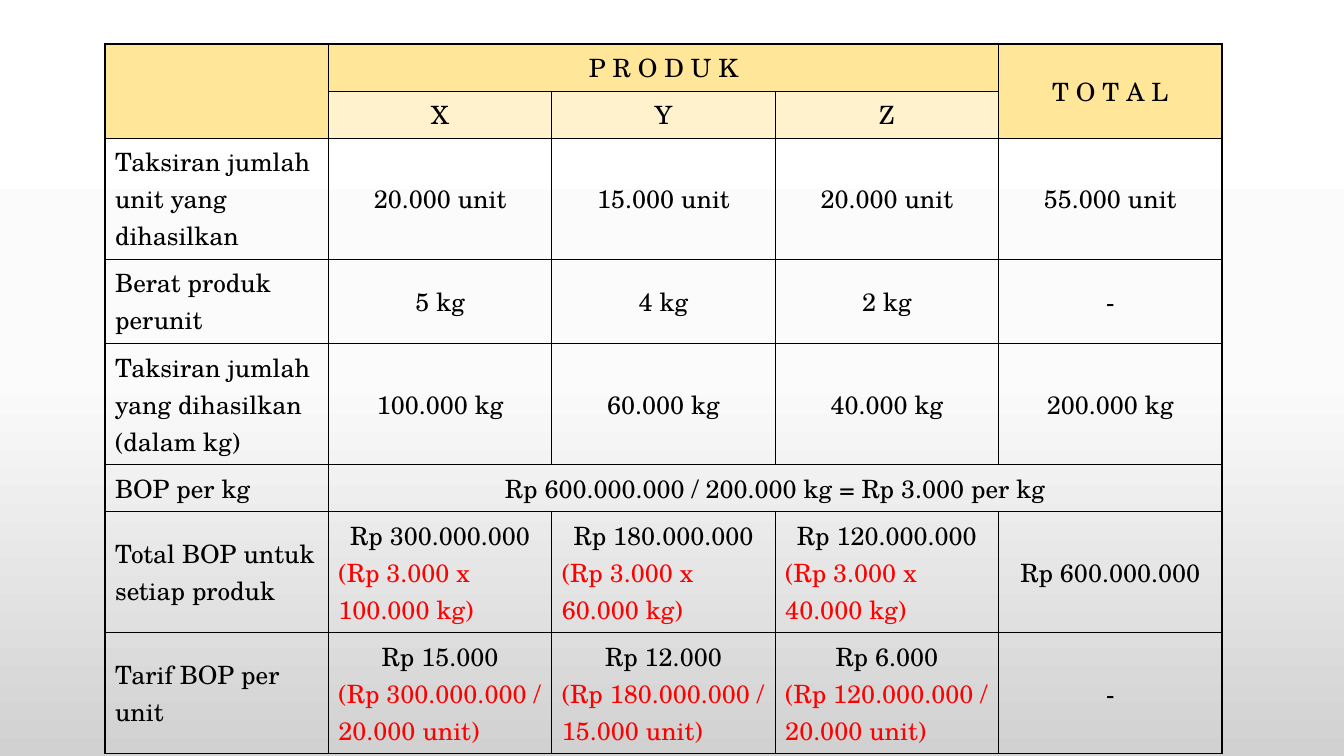
from dataclasses import dataclass

from lxml import etree
from pptx import Presentation
from pptx import util as u
from pptx.dml.color import RGBColor
from pptx.enum import text
from pptx.oxml.ns import qn


@dataclass(frozen=True)
class Theme:
    font: str = "TeX Gyre Schola"
    size: int = 18
    ink: str = "000000"
    note: str = "FF0000"
    header: str = "FFE699"
    subheader: str = "FFF2CC"
    border: str = "000000"
    border_width: int = 1
    backdrop: tuple = ((0, "FFFFFF"), (50, "FBFBFB"), (100, "D1D1D1"))


@dataclass(frozen=True)
class Entry:
    row: int
    column: int
    label: str = ""
    note: str = ""
    fill: str = ""
    rows: int = 1
    columns: int = 1


THEME = Theme()
SLIDE_WIDTH, SLIDE_HEIGHT = 1344, 756
TABLE_LEFT, TABLE_TOP, TABLE_WIDTH = 105, 44, 1117
ROW_HEIGHTS = (47, 47, 121, 84, 121, 47, 121, 121)
COLUMN_COUNT = 5

HEADERS = [
    Entry(0, 0, fill=THEME.header, rows=2),
    Entry(0, 1, "P R O D U K", fill=THEME.header, columns=3),
    Entry(0, 4, "T O T A L", fill=THEME.header, rows=2),
    *(Entry(1, column, product, fill=THEME.subheader)
      for column, product in enumerate("XYZ", start=1)),
]
BOP_PER_KG = [
    Entry(5, 0, "BOP per kg"),
    Entry(5, 1, "Rp 600.000.000 / 200.000 kg = Rp 3.000 per kg", columns=4),
]
# Each value is a figure, or a figure with the calculation behind it.
FIGURES = {
    2: ("Taksiran jumlah unit yang dihasilkan",
        "20.000 unit", "15.000 unit", "20.000 unit", "55.000 unit"),
    3: ("Berat produk perunit", "5 kg", "4 kg", "2 kg", "-"),
    4: ("Taksiran jumlah yang dihasilkan (dalam kg)",
        "100.000 kg", "60.000 kg", "40.000 kg", "200.000 kg"),
    6: ("Total BOP untuk setiap produk",
        ("Rp 300.000.000", "(Rp 3.000 x 100.000 kg)"),
        ("Rp 180.000.000", "(Rp 3.000 x 60.000 kg)"),
        ("Rp 120.000.000", "(Rp 3.000 x 40.000 kg)"),
        "Rp 600.000.000"),
    7: ("Tarif BOP per unit",
        ("Rp 15.000", "(Rp 300.000.000 / 20.000 unit)"),
        ("Rp 12.000", "(Rp 180.000.000 / 15.000 unit)"),
        ("Rp 6.000", "(Rp 120.000.000 / 20.000 unit)"),
        "-"),
}


def px(length: int) -> int:
    return round(length * u.Inches(1) / 100.8)


def figure_entries() -> list[Entry]:
    entries = []
    for row, values in FIGURES.items():
        for column, value in enumerate(values):
            parts = (value,) if isinstance(value, str) else value
            entries.append(Entry(row, column, *parts))
    return entries


def write(para, words: str, *, color: str = THEME.ink, centered: bool = False) -> None:
    para.alignment = text.PP_ALIGN.CENTER if centered else text.PP_ALIGN.LEFT
    span = para.add_run()
    span.text = words
    span.font.name = THEME.font
    span.font.size = u.Pt(THEME.size)
    span.font.color.rgb = RGBColor.from_string(color)


def add_color(parent, color: str) -> None:
    etree.SubElement(parent, qn("a:srgbClr"), val=color)


def outline(cell) -> None:
    """Draw all four borders, which must come before the fill in the cell."""
    properties = cell._tc.get_or_add_tcPr()
    for index, side in enumerate(("lnL", "lnR", "lnT", "lnB")):
        line = properties.makeelement(qn(f"a:{side}"), {"w": str(u.Pt(THEME.border_width))})
        add_color(etree.SubElement(line, qn("a:solidFill")), THEME.border)
        properties.insert(index, line)


def paint_background(slide) -> None:
    fill = slide.background.fill
    fill.gradient()
    fill.gradient_angle = 270
    stops = slide.element.xpath(".//a:gsLst")[0]
    for stop in list(stops):
        stops.remove(stop)
    for percent, color in THEME.backdrop:
        add_color(etree.SubElement(stops, qn("a:gs"), pos=str(percent * 1000)), color)


def fill_cell(table, entry: Entry) -> None:
    cell = table.cell(entry.row, entry.column)
    if entry.rows > 1 or entry.columns > 1:
        cell.merge(table.cell(entry.row + entry.rows - 1, entry.column + entry.columns - 1))
    cell.vertical_anchor = text.MSO_ANCHOR.MIDDLE
    if entry.fill:
        cell.fill.solid()
        cell.fill.fore_color.rgb = RGBColor.from_string(entry.fill)
    if entry.label:
        write(cell.text_frame.paragraphs[0], entry.label, centered=entry.column > 0)
    if entry.note:
        write(cell.text_frame.add_paragraph(), entry.note, color=THEME.note)


def add_cost_table(slide) -> None:
    frame = slide.shapes.add_table(
        len(ROW_HEIGHTS), COLUMN_COUNT, px(TABLE_LEFT), px(TABLE_TOP),
        px(TABLE_WIDTH), px(sum(ROW_HEIGHTS)))
    table = frame.table
    table.first_row = table.horz_banding = False
    for column in table.columns:
        column.width = px(TABLE_WIDTH) // COLUMN_COUNT
    for row, height in zip(table.rows, ROW_HEIGHTS):
        row.height = px(height)
    for cell in table.iter_cells():
        cell.fill.background()
        outline(cell)
    for entry in HEADERS + figure_entries() + BOP_PER_KG:
        fill_cell(table, entry)


def main() -> None:
    deck = Presentation()
    deck.slide_width, deck.slide_height = px(SLIDE_WIDTH), px(SLIDE_HEIGHT)
    page = deck.slides.add_slide(deck.slide_layouts[6])
    paint_background(page)
    add_cost_table(page)
    deck.save("out.pptx")


if __name__ == "__main__":
    main()
